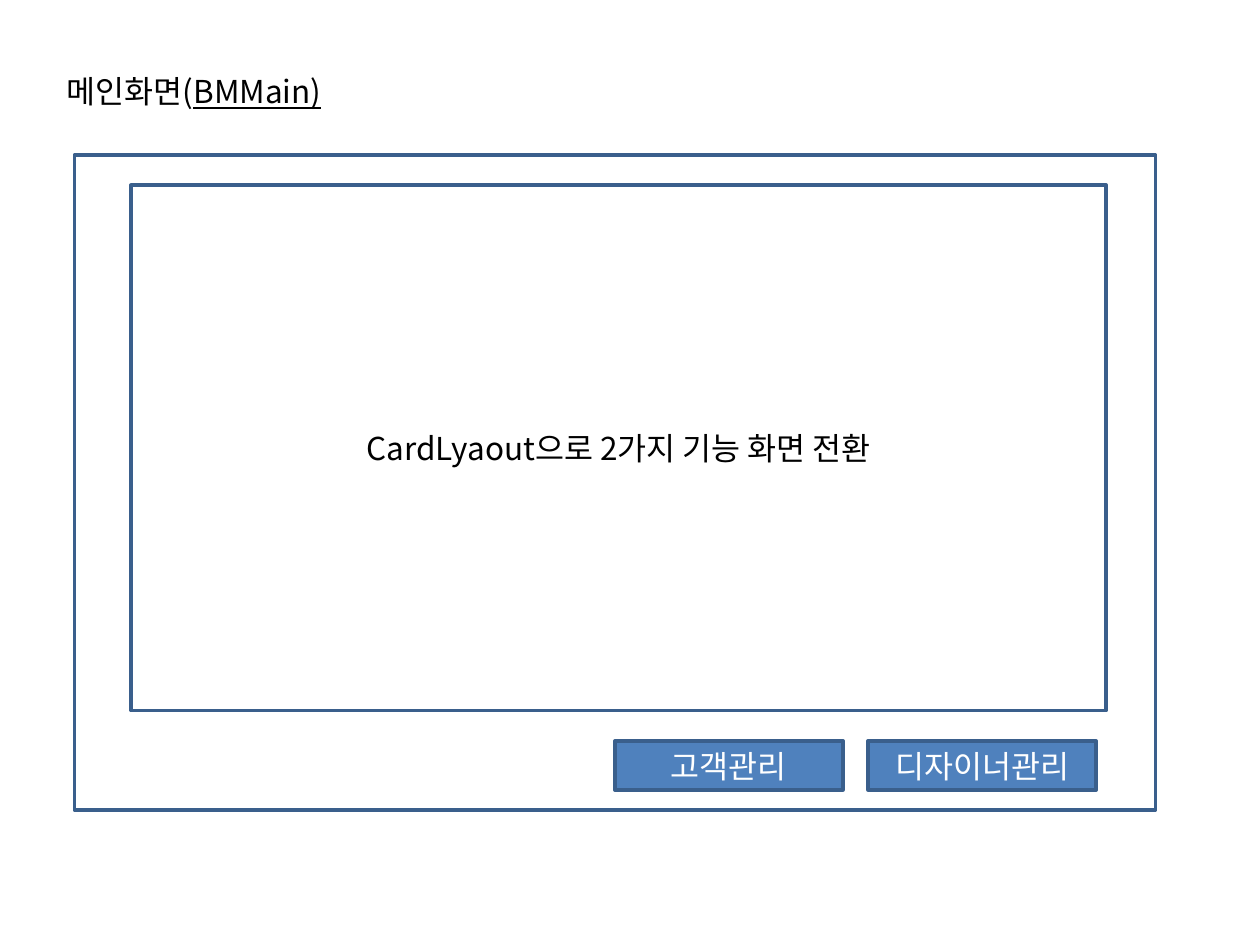
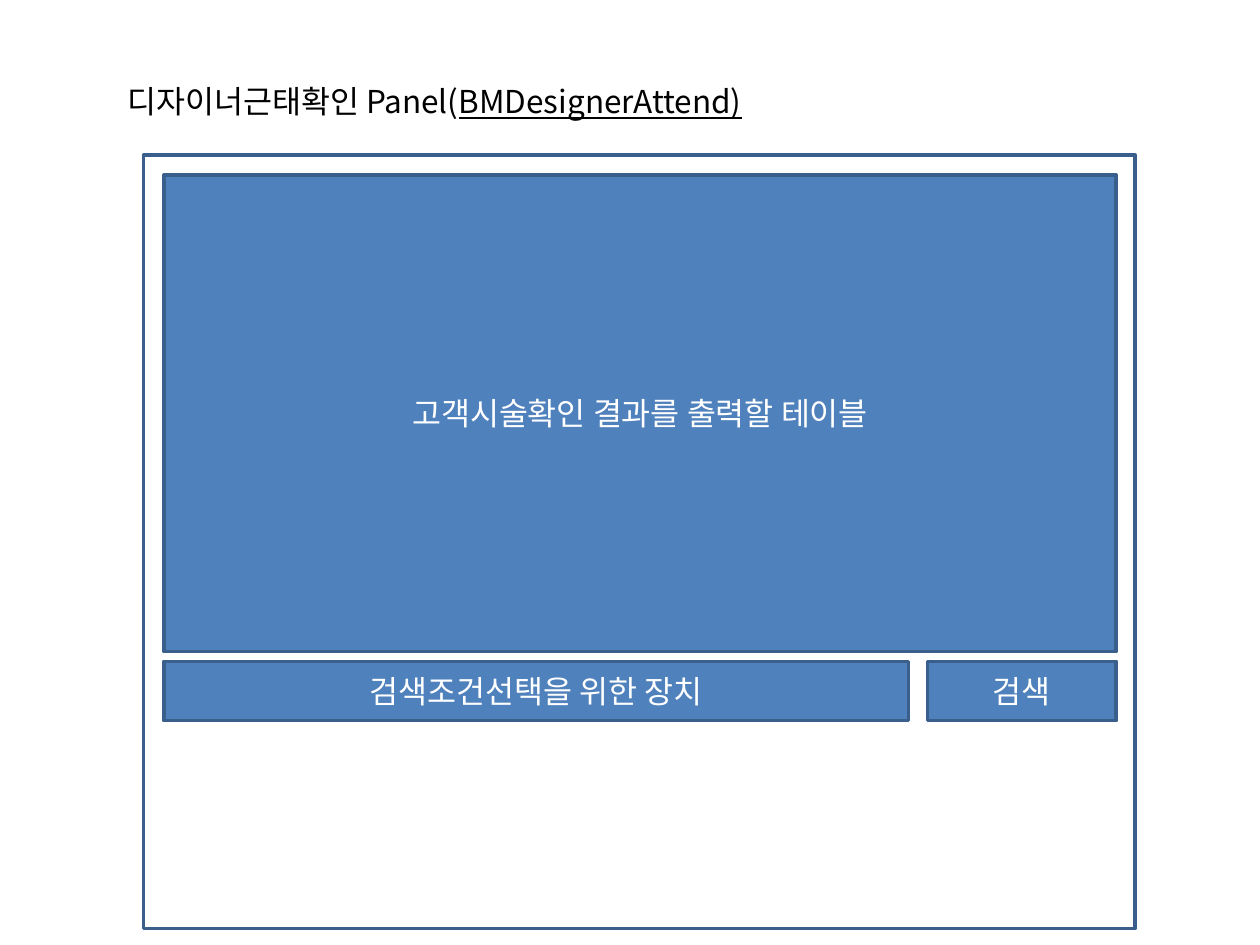
from lxml import etree
from pptx import Presentation
from pptx.dml.color import RGBColor
from pptx.enum import shapes, text
from pptx.oxml.ns import qn
from pptx.util import Inches, Pt

FONT = "Noto Sans CJK KR"
COLORS = {"ink": "000000", "panel": "4F81BD", "border": "3A5F8C", "light": "FFFFFF"}
TITLE_ONLY = 5


def color(name):
    return RGBColor.from_string(COLORS[name])


def format_paragraph(paragraph, ink, alignment):
    paragraph.alignment = alignment
    font = paragraph.font
    font.size = Pt(18)
    font.color.rgb = color(ink)
    font.name = FONT
    defaults = paragraph._p.pPr.find(qn("a:defRPr"))
    etree.SubElement(defaults, qn("a:ea")).set("typeface", FONT)


def add_screen(deck, left, top, width, label, class_name):
    slide = deck.slides.add_slide(deck.slide_layouts[TITLE_ONLY])
    title = slide.shapes.title
    title.left, title.top = Inches(left), Inches(top)
    title.width, title.height = Inches(width), Inches(0.4)
    frame = title.text_frame
    frame.word_wrap = False
    frame.auto_size = text.MSO_AUTO_SIZE.SHAPE_TO_FIT_TEXT
    frame.vertical_anchor = text.MSO_ANCHOR.TOP
    heading = frame.paragraphs[0]
    heading.add_run().text = label + "("
    class_run = heading.add_run()
    class_run.text = class_name + ")"
    class_run.font.underline = True
    format_paragraph(heading, "ink", text.PP_ALIGN.LEFT)
    return slide


def add_box(slide, left, top, width, height, label="", filled=False):
    box = slide.shapes.add_shape(
        shapes.MSO_SHAPE.RECTANGLE,
        Inches(left), Inches(top), Inches(width), Inches(height))
    box.shadow.inherit = False
    box.line.color.rgb = color("border")
    box.line.width = Pt(2)
    if filled:
        box.fill.solid()
        box.fill.fore_color.rgb = color("panel")
    else:
        box.fill.background()
    if label:
        frame = box.text_frame
        frame.word_wrap = True
        frame.vertical_anchor = text.MSO_ANCHOR.MIDDLE
        caption = frame.paragraphs[0]
        caption.add_run().text = label
        format_paragraph(caption, "light" if filled else "ink", text.PP_ALIGN.CENTER)


def build_main_screen(deck):
    slide = add_screen(deck, 0.43, 0.52, 2.31, "메인화면", "BMMain")
    add_box(slide, 0.59, 1.23, 8.58, 5.2)
    add_box(slide, 1.04, 1.47, 7.74, 4.17, "CardLyaout으로 2가지 기능 화면 전환")
    button_width, gap = 1.81, 0.2
    for column, label in enumerate(["고객관리", "디자이너관리"]):
        left = 4.88 + column * (button_width + gap)
        add_box(slide, left, 5.88, button_width, 0.39, label, filled=True)


def build_attendance_panel(deck):
    slide = add_screen(deck, 0.91, 0.6, 5.23, "디자이너근태확인 Panel", "BMDesignerAttend")
    add_box(slide, 1.14, 1.23, 7.87, 6.14)
    left, width = 1.3, 7.56
    search_width, gap = 1.5, 0.15
    search_top, search_height = 5.25, 0.47
    add_box(slide, left, 1.39, width, 3.78, "고객시술확인 결과를 출력할 테이블", filled=True)
    add_box(slide, left, search_top, width - search_width - gap, search_height,
            "검색조건선택을 위한 장치", filled=True)
    add_box(slide, left + width - search_width, search_top, search_width, search_height,
            "검색", filled=True)


def main():
    deck = Presentation()
    deck.slide_width, deck.slide_height = Inches(10), Inches(7.5)
    build_main_screen(deck)
    build_attendance_panel(deck)
    deck.save("out.pptx")


main()
